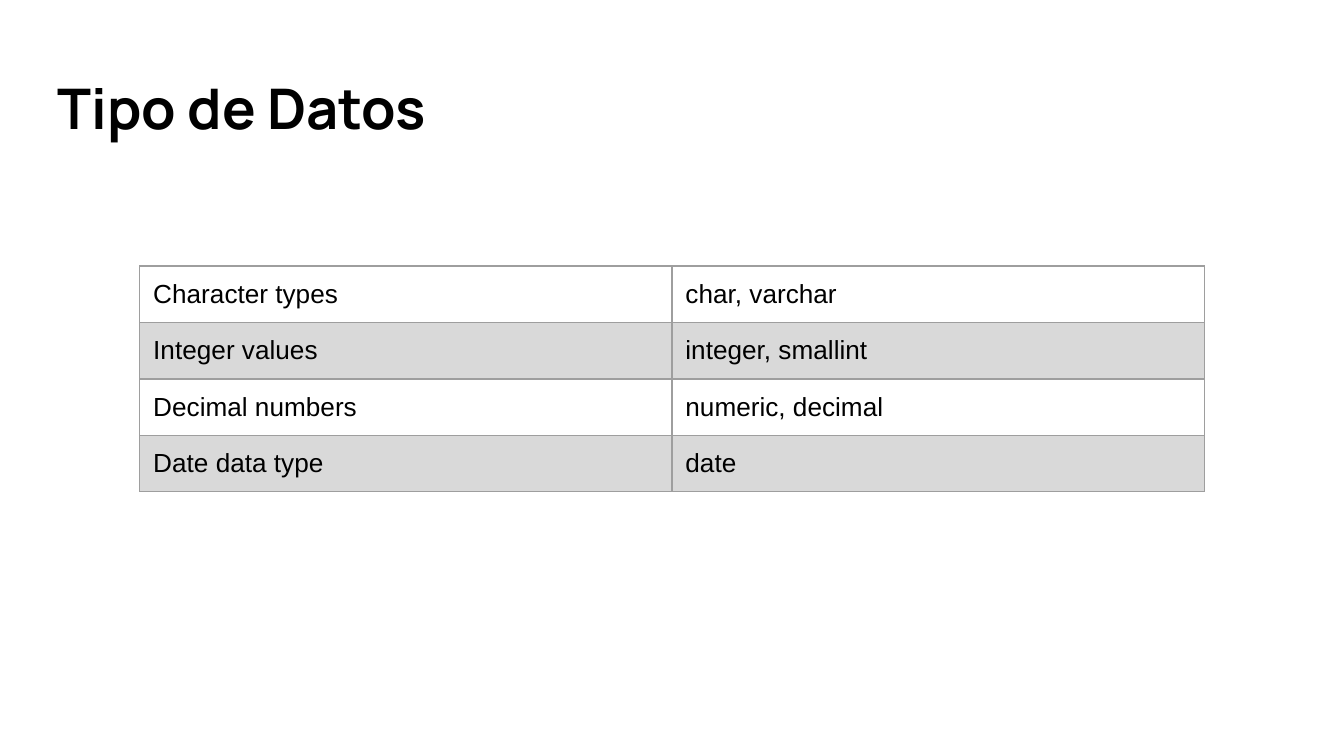
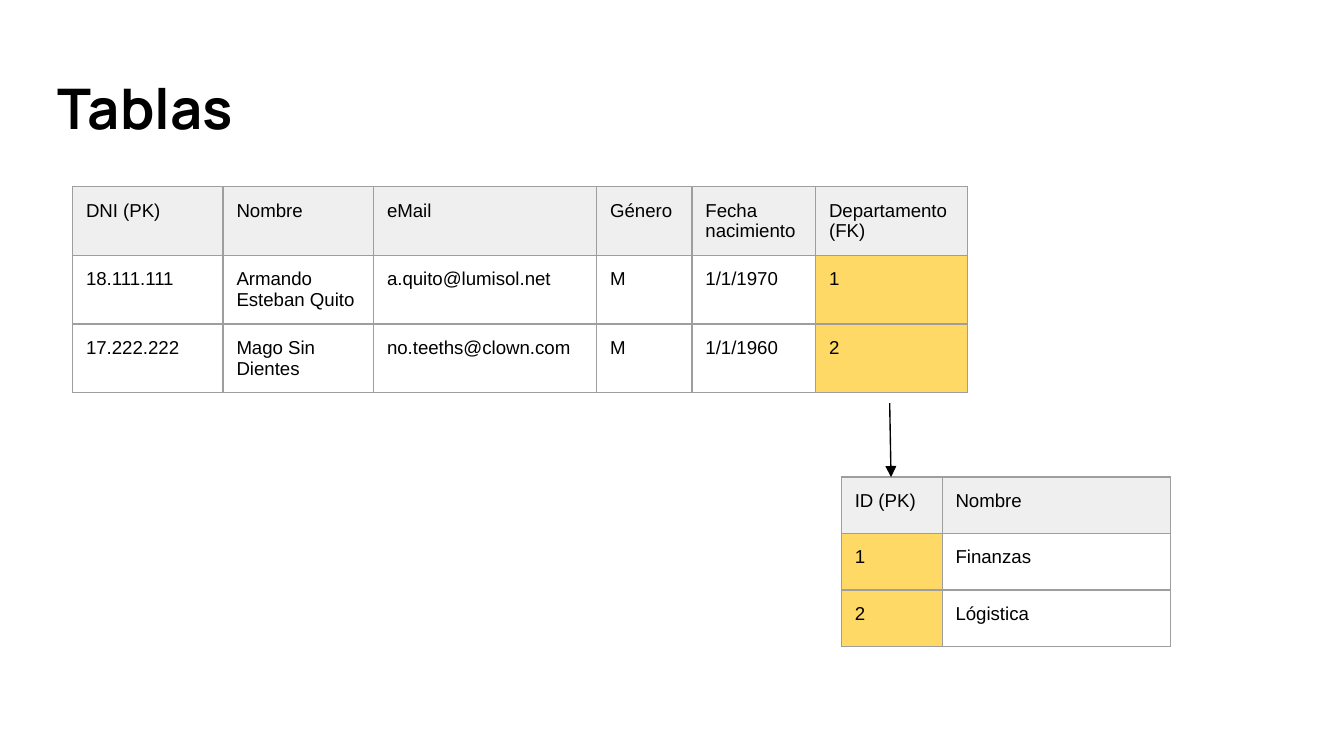
from dataclasses import dataclass
from typing import Optional

import lxml.etree
import pptx
import pptx.dml.color
import pptx.enum.shapes
import pptx.enum.text
import pptx.oxml.ns
import pptx.presentation
import pptx.slide
import pptx.table
import pptx.text.text
import pptx.util

Inches = pptx.util.Inches
qn = pptx.oxml.ns.qn

COLORS = {
    "text": "000000",
    "border": "9E9E9E",
    "band": "D9D9D9",
    "header": "EFEFEF",
    "key": "FFD966",
    "background": "FFFFFF",
}
TITLE_FONT = "Manrope"
BODY_FONT = "Arial"
SLIDE_WIDTH = Inches(10)
SLIDE_HEIGHT = SLIDE_WIDTH * 9 // 16
ROW_HEIGHT = 0.42
INSET = Inches(0.1)
LINE_WIDTH = pptx.util.Pt(0.75)


@dataclass(frozen=True)
class DataTable:
    left: float
    top: float
    widths: tuple[float, ...]
    rows: tuple[tuple[str, ...], ...]
    size: int
    banded: bool = False
    key_column: Optional[int] = None

    def fill(self, row: int, column: int) -> Optional[str]:
        if self.banded:
            return "band" if row % 2 else None
        if row == 0:
            return "header"
        return "key" if column == self.key_column else None


DATA_TYPES = DataTable(
    1.04, 1.98, (3.96, 3.96),
    (
        ("Character types", "char, varchar"),
        ("Integer values", "integer, smallint"),
        ("Decimal numbers", "numeric, decimal"),
        ("Date data type", "date"),
    ),
    size=14, banded=True,
)
EMPLOYEES = DataTable(
    0.54, 1.39, (1.12, 1.12, 1.66, 0.71, 0.92, 1.13),
    (
        ("DNI (PK)", "Nombre", "eMail", "Género", "Fecha nacimiento", "Departamento (FK)"),
        ("18.111.111", "Armando Esteban Quito", "a.quito@lumisol.net", "M", "1/1/1970", "1"),
        ("17.222.222", "Mago Sin Dientes", "no.teeths@clown.com", "M", "1/1/1960", "2"),
    ),
    size=10, key_column=5,
)
DEPARTMENTS = DataTable(
    6.26, 3.55, (0.75, 1.7),
    (("ID (PK)", "Nombre"), ("1", "Finanzas"), ("2", "Lógistica")),
    size=10, key_column=0,
)


def rgb(name: str) -> pptx.dml.color.RGBColor:
    return pptx.dml.color.RGBColor.from_string(COLORS[name])


def style_font(paragraph: pptx.text.text._Paragraph, name: str, size: int, bold: bool) -> None:
    font = paragraph.font
    font.name = name
    font.size = pptx.util.Pt(size)
    font.bold = bold
    font.color.rgb = rgb("text")


def add_titled_slide(presentation: pptx.presentation.Presentation, text: str) -> pptx.slide.Slide:
    slide = presentation.slides.add_slide(presentation.slide_layouts.get_by_name("Title Only"))
    slide.background.fill.solid()
    slide.background.fill.fore_color.rgb = rgb("background")
    title = slide.shapes.title
    title.left, title.top = Inches(0.33), Inches(0.45)
    title.width, title.height = Inches(9.32), Inches(0.7)
    frame = title.text_frame
    frame.text = text
    frame.word_wrap = True
    frame.auto_size = pptx.enum.text.MSO_AUTO_SIZE.NONE
    frame.vertical_anchor = pptx.enum.text.MSO_ANCHOR.MIDDLE
    frame.margin_left = frame.margin_right = frame.margin_top = frame.margin_bottom = INSET
    paragraph = frame.paragraphs[0]
    paragraph.alignment = pptx.enum.text.PP_ALIGN.LEFT
    style_font(paragraph, TITLE_FONT, 30, True)
    return slide


def add_borders(cell: pptx.table._Cell) -> None:
    properties = cell._tc.get_or_add_tcPr()
    for side in ("a:lnL", "a:lnR", "a:lnT", "a:lnB"):
        line = lxml.etree.SubElement(properties, qn(side), w=str(LINE_WIDTH))
        fill = lxml.etree.SubElement(line, qn("a:solidFill"))
        lxml.etree.SubElement(fill, qn("a:srgbClr"), val=COLORS["border"])


def add_data_table(slide: pptx.slide.Slide, data: DataTable) -> None:
    table = slide.shapes.add_table(
        len(data.rows), len(data.widths), Inches(data.left), Inches(data.top),
        Inches(sum(data.widths)), Inches(ROW_HEIGHT * len(data.rows)),
    ).table
    table.first_row = table.horz_banding = False
    for column, width in zip(table.columns, data.widths):
        column.width = Inches(width)
    for row_index, row in enumerate(data.rows):
        table.rows[row_index].height = Inches(ROW_HEIGHT)
        for column_index, text in enumerate(row):
            cell = table.cell(row_index, column_index)
            cell.text = text
            cell.margin_left = cell.margin_right = cell.margin_top = cell.margin_bottom = INSET
            style_font(cell.text_frame.paragraphs[0], BODY_FONT, data.size, False)
            add_borders(cell)
            color = data.fill(row_index, column_index)
            if color:
                cell.fill.solid()
                cell.fill.fore_color.rgb = rgb(color)
            else:
                cell.fill.background()


def add_arrow(slide: pptx.slide.Slide, start: tuple[float, float], end: tuple[float, float]) -> None:
    connector = slide.shapes.add_connector(
        pptx.enum.shapes.MSO_CONNECTOR.STRAIGHT, *map(Inches, start + end)
    )
    connector.line.color.rgb = rgb("text")
    connector.line.width = LINE_WIDTH
    properties = connector.element.spPr
    lxml.etree.SubElement(properties.find(qn("a:ln")), qn("a:tailEnd"), type="triangle")
    lxml.etree.SubElement(properties, qn("a:effectLst"))


def main() -> None:
    presentation = pptx.Presentation()
    presentation.slide_width = SLIDE_WIDTH
    presentation.slide_height = SLIDE_HEIGHT

    add_data_table(add_titled_slide(presentation, "Tipo de Datos"), DATA_TYPES)

    tables_slide = add_titled_slide(presentation, "Tablas")
    for data in (EMPLOYEES, DEPARTMENTS):
        add_data_table(tables_slide, data)
    add_arrow(tables_slide, (6.62, 3), (6.63, DEPARTMENTS.top))

    presentation.save("out.pptx")


if __name__ == "__main__":
    main()
